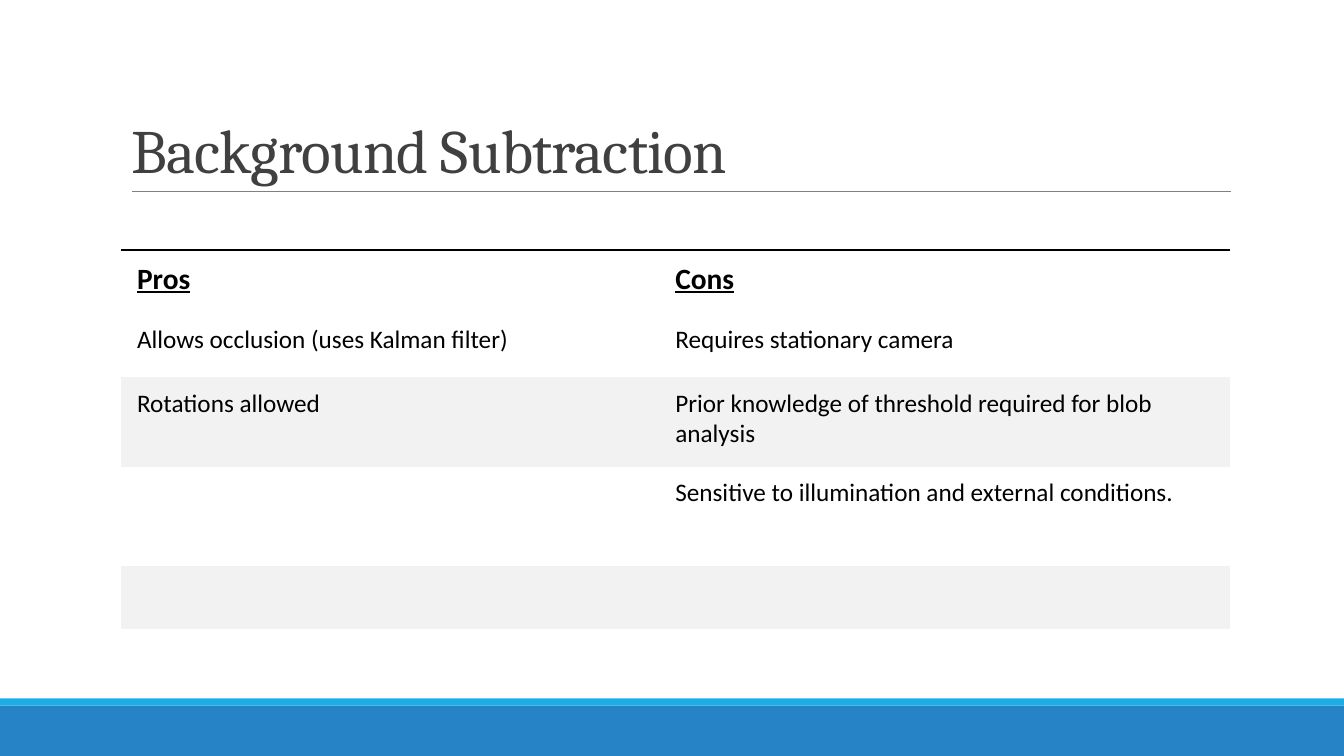
from lxml import etree
from pptx import Presentation
from pptx import util as u
from pptx.dml.color import RGBColor
from pptx.enum import shapes, text
from pptx.oxml.ns import qn

BLUE = RGBColor(0x26, 0x83, 0xC6)
CYAN = RGBColor(0x1C, 0xAD, 0xE4)
RULE_GREY = RGBColor(0x80, 0x80, 0x80)
TITLE_GREY = RGBColor(0x40, 0x40, 0x40)
BAND_GREY = RGBColor(0xF2, 0xF2, 0xF2)
BLACK = RGBColor(0, 0, 0)

COLUMNS, ROWS = 40, 30
PLAIN_TABLE_STYLE = "{2D5ABB26-0587-4C30-8999-92F81FD0307C}"

PROS_AND_CONS = [
    ("Pros", "Cons"),
    ("Allows occlusion (uses Kalman filter)", "Requires stationary camera"),
    ("Rotations allowed", "Prior knowledge of threshold required for blob analysis"),
    ("", "Sensitive to illumination and external conditions."),
    ("", ""),
]


def apply(target, **values):
    for name, value in values.items():
        setattr(target, name, value)


class SlideBuilder:
    """Places elements on a grid of 40 columns by 30 rows."""

    title_font = dict(name="Cambria", size=u.Pt(44), bold=False)
    header_font = dict(name="Calibri", size=u.Pt(21), bold=True, underline=True)
    body_font = dict(name="Calibri", size=u.Pt(18), bold=False, underline=False)
    cell_format = dict(
        margin_left=u.Inches(0.16), margin_right=u.Inches(0.16),
        margin_top=u.Inches(0.11), margin_bottom=u.Inches(0.11),
        vertical_anchor=text.MSO_ANCHOR.TOP,
    )

    def __init__(self, deck):
        self.column = deck.slide_width / COLUMNS
        self.row = deck.slide_height / ROWS
        self.slide = deck.slides.add_slide(deck.slide_layouts[5])

    def across(self, columns):
        return u.Emu(round(columns * self.column))

    def down(self, rows):
        return u.Emu(round(rows * self.row))

    def box(self, left, top, width, height):
        return self.across(left), self.down(top), self.across(width), self.down(height)

    def bar(self, top, height, color):
        bar = self.slide.shapes.add_shape(
            shapes.MSO_SHAPE.RECTANGLE, *self.box(0, top, COLUMNS, height))
        bar.shadow.inherit = False
        bar.fill.solid()
        bar.fill.fore_color.rgb = color
        bar.line.fill.background()

    def rule(self, left, right, y):
        rule = self.slide.shapes.add_connector(
            shapes.MSO_CONNECTOR.STRAIGHT,
            self.across(left), self.down(y), self.across(right), self.down(y))
        rule.line.color.rgb = RULE_GREY
        rule.line.width = u.Pt(0.5)
        etree.SubElement(rule._element.spPr, qn("a:effectLst"))

    def title(self, wording, left, top, width, height):
        title = self.slide.shapes.title
        places = self.box(left, top, width, height)
        apply(title, **dict(zip(("left", "top", "width", "height"), places)))
        apply(title.text_frame, text=wording, word_wrap=True,
              auto_size=text.MSO_AUTO_SIZE.NONE,
              vertical_anchor=text.MSO_ANCHOR.BOTTOM)
        paragraph = title.text_frame.paragraphs[0]
        apply(paragraph, alignment=text.PP_ALIGN.LEFT, line_spacing=0.85)
        font = paragraph.runs[0].font
        apply(font, **self.title_font)
        font.color.rgb = TITLE_GREY
        font._element.set("spc", "-50")

    def table(self, entries, left, top, widths, heights):
        table = self.slide.shapes.add_table(
            len(heights), len(widths),
            *self.box(left, top, sum(widths), sum(heights))).table
        apply(table, first_row=False, horz_banding=False)
        table._tbl.tblPr.find(qn("a:tableStyleId")).text = PLAIN_TABLE_STYLE
        for column, width in zip(table.columns, widths):
            column.width = self.across(width)
        for row, height in zip(table.rows, heights):
            row.height = self.down(height)
        for index, (row, wordings) in enumerate(zip(table.rows, entries)):
            header = index == 0
            banded = not header and index % 2 == 0
            for cell, wording in zip(row.cells, wordings):
                self.cell(cell, wording, header, banded)

    def cell(self, cell, wording, header, banded):
        apply(cell, **self.cell_format)
        if header:
            self.top_border(cell)
        if banded:
            cell.fill.solid()
            cell.fill.fore_color.rgb = BAND_GREY
        else:
            cell.fill.background()
        if wording:
            cell.text = wording
            font = cell.text_frame.paragraphs[0].runs[0].font
            apply(font, **(self.header_font if header else self.body_font))
            font.color.rgb = BLACK

    def top_border(self, cell):
        border = etree.SubElement(
            cell._tc.get_or_add_tcPr(), qn("a:lnT"), w=str(u.Pt(2.25)))
        fill = etree.SubElement(border, qn("a:solidFill"))
        etree.SubElement(fill, qn("a:srgbClr"), val=str(BLACK))


def main():
    deck = Presentation()
    deck.slide_width, deck.slide_height = u.Inches(13.33), u.Inches(7.5)
    page = SlideBuilder(deck)
    page.bar(28, 2, BLUE)
    page.bar(27.72, 0.28, CYAN)
    page.rule(3.93, 36.63, 7.6)
    page.title("Background Subtraction", 3.6, 4.4, 33, 3.2)
    page.table(PROS_AND_CONS, 3.6, 9.92,
               widths=(16.02, 16.98), heights=(2.52, 2.52, 3.56, 3.96, 2.48))
    deck.save("out.pptx")


if __name__ == "__main__":
    main()
